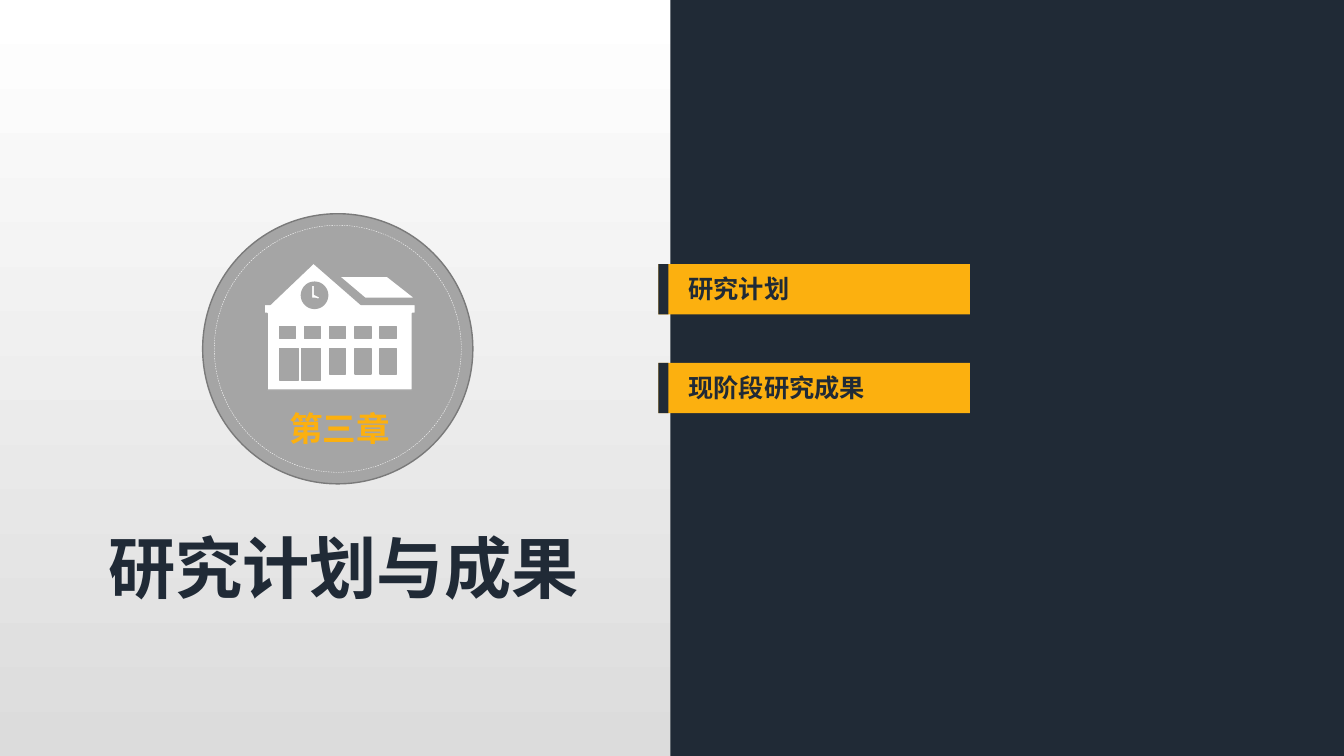
import math

import lxml.etree
import pptx
import pptx.dml.color
import pptx.enum.dml
import pptx.enum.shapes
import pptx.enum.text
import pptx.oxml.ns
import pptx.util

SLIDE_W, SLIDE_H = 13.33, 7.5
FONT = "Noto Sans CJK SC"
NAVY, AMBER, GREY, WHITE = "202A36", "FCB00F", "A5A5A5", "FFFFFF"
BACKDROP = [WHITE, "DCDCDC"]
CHAPTER = "第三章"
TITLE = "研究计划与成果"
SECTIONS = [("研究计划", 1.21), ("现阶段研究成果", 1.97)]

PANEL_X = 6.65
BAR_X, BAR_Y, BAR_W, BAR_H, BAR_PITCH, TAB_W = 6.53, 2.62, 3.09, 0.5, 0.98, 0.1
BADGE_CENTRE, BADGE_D, RING_D = (3.35, 3.46), 2.68, 2.45

WALLS = [(4.09, 3.11), (4.09, 3.87), (2.65, 3.87), (2.65, 3.11), (2.62, 3.11),
         (2.62, 3.02), (2.68, 3.02), (3.11, 2.61), (3.58, 3.02), (4.12, 3.02),
         (4.12, 3.11)]
SIDE_ROOF = [(3.36, 2.74), (3.84, 2.74), (4.12, 2.96), (3.62, 2.96)]
CLOCK_HANDS = [(3.09, 2.96), (3.09, 2.83), (3.12, 2.83), (3.12, 2.92),
               (3.18, 2.95), (3.16, 2.97), (3.12, 2.96)]
CLOCK_CENTRE, CLOCK_R, CLOCK_STEPS = (3.12, 2.93), 0.13, 48
WINDOW_X, WINDOW_PITCH, WINDOW_W, WINDOW_COLS = 2.77, 0.25, 0.16, 5
UPPER_Y, UPPER_H, LOWER_Y, LOWER_H = 3.24, 0.12, 3.46, 0.25
DOOR_W, DOOR_H, DOOR_PITCH = 0.19, 0.31, 0.22

SHAPES = pptx.enum.shapes.MSO_SHAPE
ALIGN = pptx.enum.text.PP_ALIGN
ANCHOR = pptx.enum.text.MSO_ANCHOR
inch = pptx.util.Inches


def rgb(value):
    return pptx.dml.color.RGBColor.from_string(value)


def paint(sp, fill=None, line=None, width=1):
    sp.shadow.inherit = False
    for part, color in ((sp.fill, fill), (sp.line.fill, line)):
        if color:
            part.solid()
            part.fore_color.rgb = rgb(color)
        else:
            part.background()
    if line:
        sp.line.width = pptx.util.Pt(width)


def add_shape(s, kind, box, **style):
    sp = s.shapes.add_shape(kind, *map(inch, box))
    paint(sp, **style)
    return sp


def add_disc(s, diameter, **style):
    x, y = (c - diameter / 2 for c in BADGE_CENTRE)
    return add_shape(s, SHAPES.OVAL, (x, y, diameter, diameter), **style)


def add_text(s, text, box, size, color=NAVY, align=ALIGN.LEFT, anchor=ANCHOR.TOP, wrap=True):
    tf = s.shapes.add_textbox(*map(inch, box)).text_frame
    for key, value in {"word_wrap": wrap, "vertical_anchor": anchor}.items():
        setattr(tf, key, value)
    p = tf.paragraphs[0]
    p.alignment = align
    r = p.add_run()
    r.text = text
    for key, value in {"size": pptx.util.Pt(size), "bold": True, "name": FONT}.items():
        setattr(r.font, key, value)
    r.font.color.rgb = rgb(color)
    ea = lxml.etree.SubElement(r.font._element, pptx.oxml.ns.qn("a:ea"))
    ea.set("typeface", FONT)


def rectangle(x, y, w, h):
    return [(x, y), (x + w, y), (x + w, y + h), (x, y + h)]


def circle(centre, radius, steps):
    angles = [2 * math.pi * i / steps for i in range(steps)]
    return [(centre[0] + radius * math.cos(a), centre[1] + radius * math.sin(a)) for a in angles]


def school_outlines():
    columns = [WINDOW_X + i * WINDOW_PITCH for i in range(WINDOW_COLS)]
    upper = [rectangle(x, UPPER_Y, WINDOW_W, UPPER_H) for x in columns]
    lower = [rectangle(x, LOWER_Y, WINDOW_W, LOWER_H) for x in columns[2:]]
    doors = [rectangle(WINDOW_X + i * DOOR_PITCH, LOWER_Y, DOOR_W, DOOR_H) for i in range(2)]
    clock = circle(CLOCK_CENTRE, CLOCK_R, CLOCK_STEPS)
    return [SIDE_ROOF, CLOCK_HANDS, *lower, *upper, clock, *doors, WALLS]


def add_school(s):
    outlines = [[(inch(x), inch(y)) for x, y in o] for o in school_outlines()]
    builder = s.shapes.build_freeform(*outlines[0][0], scale=1.0)
    for i, points in enumerate(outlines):
        if i:
            builder.move_to(*points[0])
        builder.add_line_segments(points[1:], close=True)
    paint(builder.convert_to_shape(), fill=WHITE, line=GREY)


def main():
    """Build the chapter divider slide."""
    prs = pptx.Presentation()
    prs.slide_width, prs.slide_height = inch(SLIDE_W), inch(SLIDE_H)
    s = prs.slides.add_slide(prs.slide_layouts[6])
    fill = s.background.fill
    fill.gradient()
    fill.gradient_angle = 270
    for i, (stop, color) in enumerate(zip(fill.gradient_stops, BACKDROP)):
        stop.position = i
        stop.color.rgb = rgb(color)

    add_shape(s, SHAPES.RECTANGLE, (PANEL_X, 0, SLIDE_W - PANEL_X, SLIDE_H), fill=NAVY)
    for i, (label, width) in enumerate(SECTIONS):
        y = BAR_Y + i * BAR_PITCH
        for w, color in ((BAR_W, AMBER), (TAB_W, NAVY)):
            add_shape(s, SHAPES.RECTANGLE, (BAR_X, y, w, BAR_H), fill=color)
        add_text(s, label, (BAR_X + 0.2, y + 0.04, width, 0.4), 18)

    add_disc(s, BADGE_D, fill=GREY, line="7A7A7A")
    add_text(s, CHAPTER, (2.07, 3.99, 2.6, 0.52), 24, AMBER, ALIGN.CENTER, ANCHOR.MIDDLE)
    ring = add_disc(s, RING_D, line=WHITE, width=0.25)
    ring.line.dash_style = pptx.enum.dml.MSO_LINE.DASH
    add_text(s, TITLE, (0.97, 5.17, 4.87, 0.91), 48, align=ALIGN.CENTER, wrap=False)
    add_school(s)
    prs.save("out.pptx")


if __name__ == "__main__":
    main()
